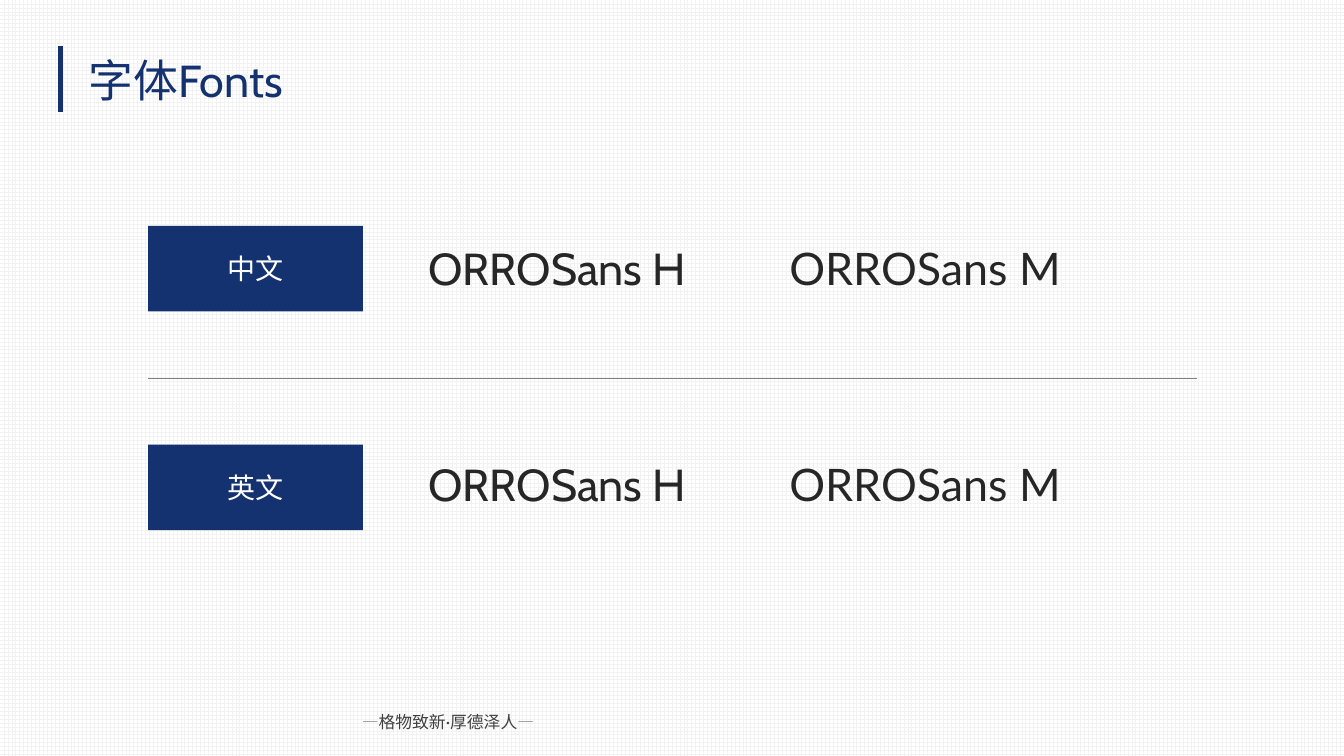
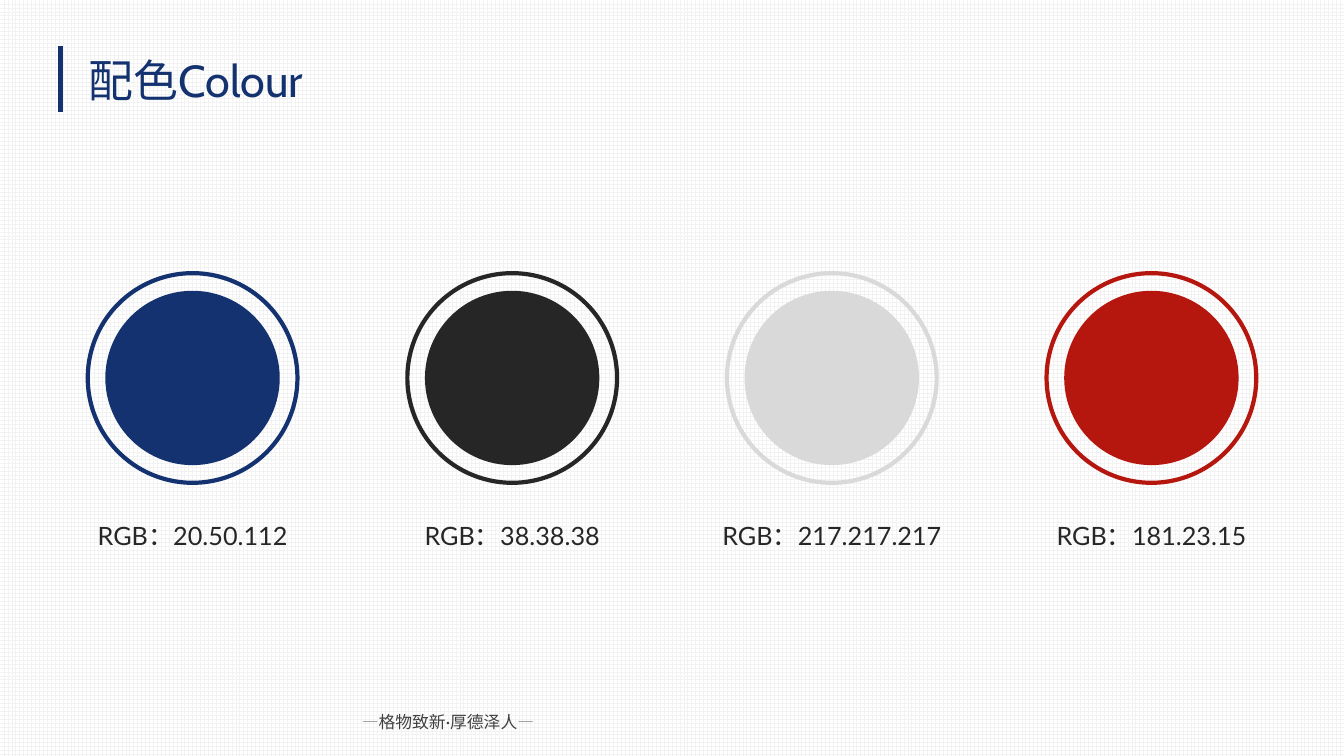
from lxml import etree
from pptx import Presentation
from pptx.dml.color import RGBColor
from pptx.enum.dml import MSO_PATTERN
from pptx.enum.shapes import MSO_CONNECTOR, MSO_SHAPE
from pptx.enum.text import MSO_ANCHOR, MSO_AUTO_SIZE, PP_ALIGN
from pptx.oxml.ns import qn
from pptx.util import Inches, Pt

NAVY = RGBColor(20, 50, 112)
INK = RGBColor(38, 38, 38)
SILVER = RGBColor(217, 217, 217)
RED = RGBColor(181, 23, 15)
WHITE = RGBColor(255, 255, 255)
GRID = RGBColor(242, 242, 242)
GREY = RGBColor(128, 128, 128)
DARK_GREY = RGBColor(64, 64, 64)
HEAVY, MEDIUM, CJK = "Cabin", "Lato", "Noto Sans CJK SC"

# Content
FONT_TITLE = "字体Fonts"
FONT_ROWS = [  # label, label top, sample top
    ("中文", 2.24, 2.34),
    ("英文", 4.41, 4.48),
]
FONT_SAMPLES = [  # text, typeface, left, width
    ("ORROSans H", HEAVY, 4.15, 3.32),
    ("ORROSans M", MEDIUM, 7.73, 3.61),
]
COLOUR_TITLE = "配色Colour"
SWATCHES = [  # colour, caption width
    (NAVY, 2.21),
    (INK, 2.21),
    (SILVER, 2.45),
    (RED, 2.21),
]
FOOTER = [("—", GREY), ("格物致新·厚德泽人", DARK_GREY), ("—", GREY)]


def box(left, top, width, height):
    return [Inches(v) for v in (left, top, width, height)]


def style(p, size, font, color, align=PP_ALIGN.LEFT):
    p.alignment = align
    p.font.size, p.font.name = Pt(size), font
    p.font.color.rgb = color
    rPr = p._p.get_or_add_pPr().get_or_add_defRPr()
    etree.SubElement(rPr, qn("a:ea")).set("typeface", CJK)


def add_text(s, place, text, *look):
    tf = s.shapes.add_textbox(*box(*place)).text_frame
    tf.word_wrap = True
    tf.auto_size = MSO_AUTO_SIZE.SHAPE_TO_FIT_TEXT
    p = tf.paragraphs[0]
    p.text = text
    style(p, *look)
    return p


def add_line(s, x1, y1, x2, y2, color, width):
    line = s.shapes.add_connector(MSO_CONNECTOR.STRAIGHT, *box(x1, y1, x2, y2))
    line.line.color.rgb, line.line.width = color, Pt(width)
    etree.SubElement(line._element.spPr, qn("a:effectLst"))


def add_shape(s, kind, place, fill=None, outline=None):
    sp = s.shapes.add_shape(kind, *box(*place))
    sp.shadow.inherit = False
    if fill is None:
        sp.fill.background()
    else:
        sp.fill.solid()
        sp.fill.fore_color.rgb = fill
    if outline is None:
        sp.line.fill.background()
    else:
        sp.line.color.rgb, sp.line.width = outline, Pt(3)
    return sp


def add_circle(s, centre, diameter, **paint):
    x, y = (c - diameter / 2 for c in centre)
    add_shape(s, MSO_SHAPE.OVAL, (x, y, diameter, diameter), **paint)


def add_slide(prs, title):
    s = prs.slides.add_slide(prs.slide_layouts[5])
    # Grid background
    fill = s.background.fill
    fill.patterned()
    fill.pattern = MSO_PATTERN.LARGE_GRID
    fill.fore_color.rgb, fill.back_color.rgb = GRID, WHITE
    # Footer motto
    p = add_text(s, (3.49, 7.01, 6.36, 0.3), "", 12, MEDIUM, GREY, PP_ALIGN.JUSTIFY)
    for text, color in FOOTER:
        r = p.add_run()
        r.text = text
        r.font.color.rgb = color
    # Title with its vertical bar
    add_line(s, 0.6, 0.46, 0.6, 1.11, NAVY, 3)
    sp = s.shapes.title
    sp.left, sp.top, sp.width, sp.height = box(0.78, 0.47, 3.1, 0.64)
    tf = sp.text_frame
    tf.text = title
    tf.vertical_anchor = MSO_ANCHOR.TOP
    tf.auto_size = MSO_AUTO_SIZE.SHAPE_TO_FIT_TEXT
    style(tf.paragraphs[0], 32, HEAVY, NAVY)
    return s


def build_fonts(prs):
    s = add_slide(prs, FONT_TITLE)
    for label, label_top, sample_top in FONT_ROWS:
        sp = add_shape(s, MSO_SHAPE.RECTANGLE, (1.47, label_top, 2.13, 0.85), fill=NAVY)
        tf = sp.text_frame
        tf.text = label
        tf.vertical_anchor = MSO_ANCHOR.MIDDLE
        style(tf.paragraphs[0], 20, CJK, WHITE, PP_ALIGN.CENTER)
        for text, font, left, width in FONT_SAMPLES:
            add_text(s, (left, sample_top, width, 0.64), text, 32, font, INK)
    add_line(s, 1.47, 3.75, 11.87, 3.75, GREY, 0.5)


def build_colours(prs):
    s = add_slide(prs, COLOUR_TITLE)
    first_x, pitch, centre_y = 1.91, 3.17, 3.75
    for i, (color, width) in enumerate(SWATCHES):
        x = first_x + i * pitch
        add_circle(s, (x, centre_y), 1.73, fill=color)
        add_circle(s, (x, centre_y), 2.08, outline=color)
        caption = "RGB：" + ".".join(str(c) for c in color)
        p = add_text(s, (x - width / 2, 5.02, width, 0.47), caption,
                     18, MEDIUM, INK, PP_ALIGN.CENTER)
        p.line_spacing = 1.3


def main():
    prs = Presentation()
    prs.slide_width, prs.slide_height = Inches(13.33), Inches(7.5)
    build_fonts(prs)
    build_colours(prs)
    prs.save("out.pptx")


if __name__ == "__main__":
    main()
